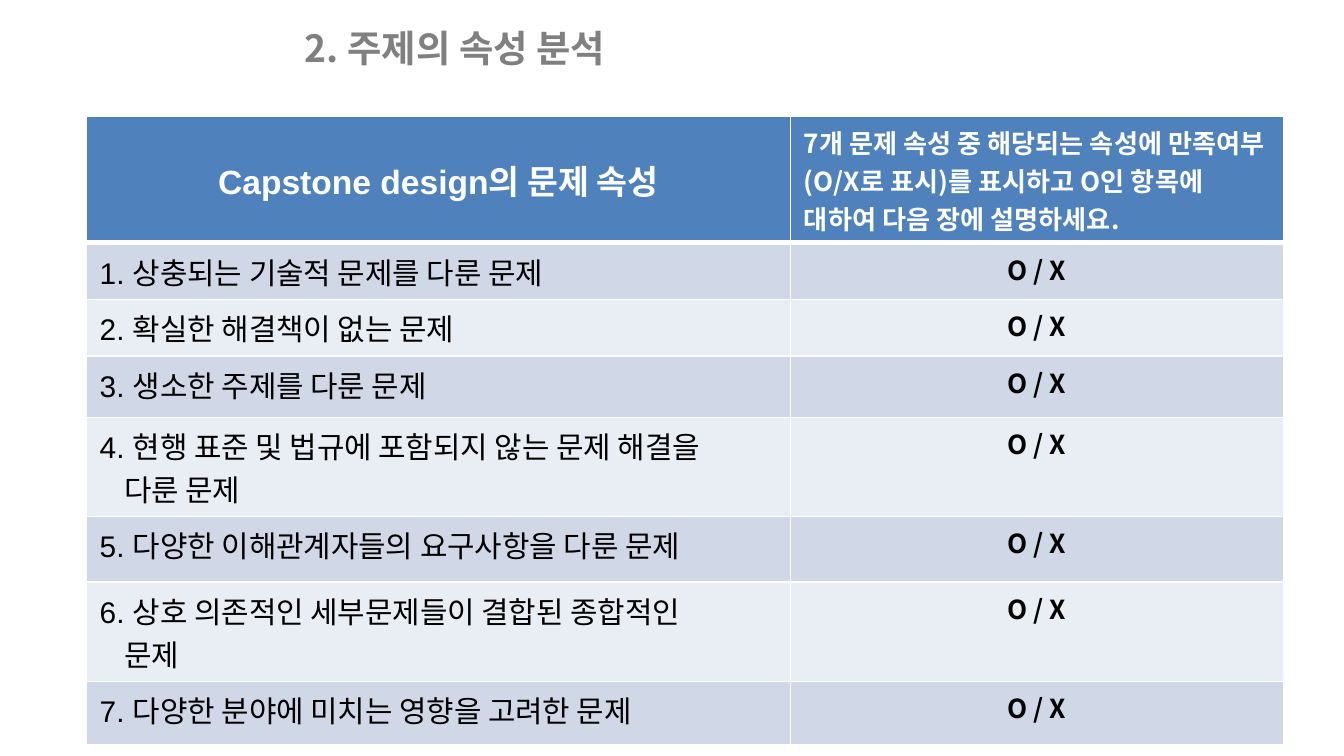
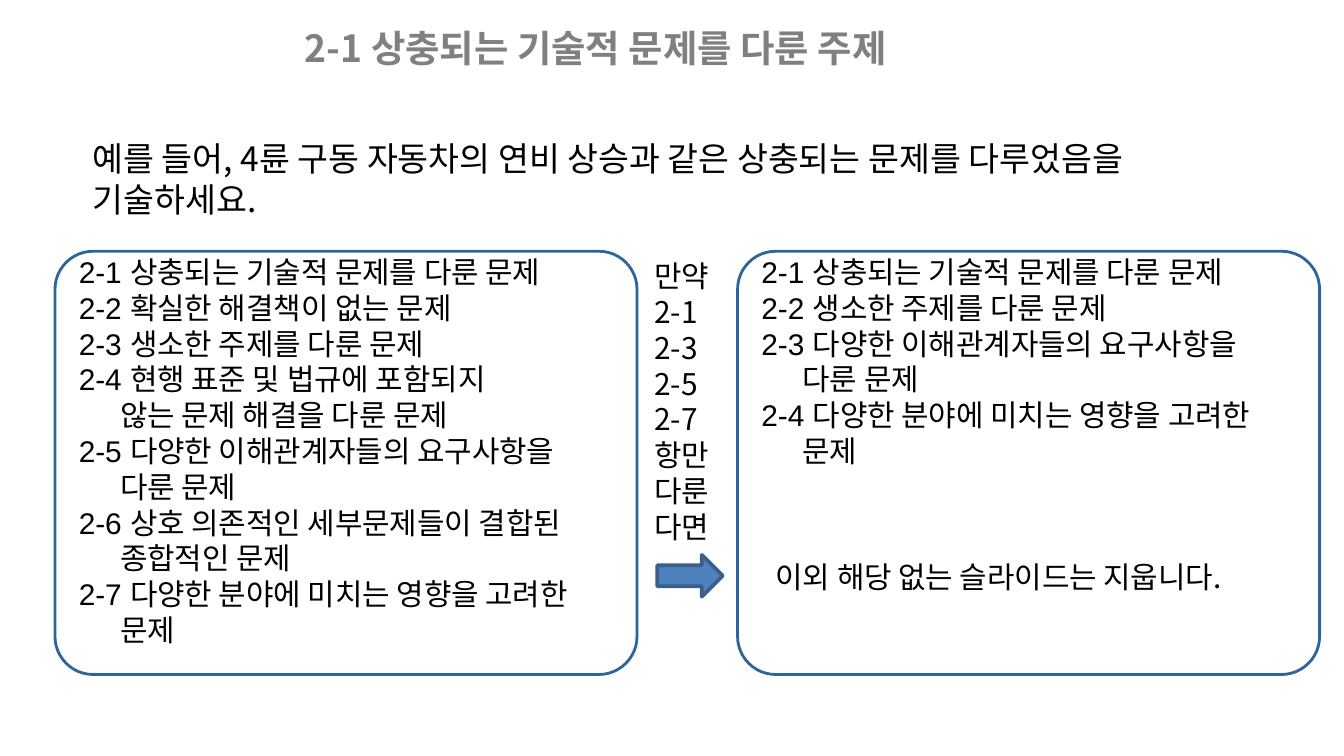
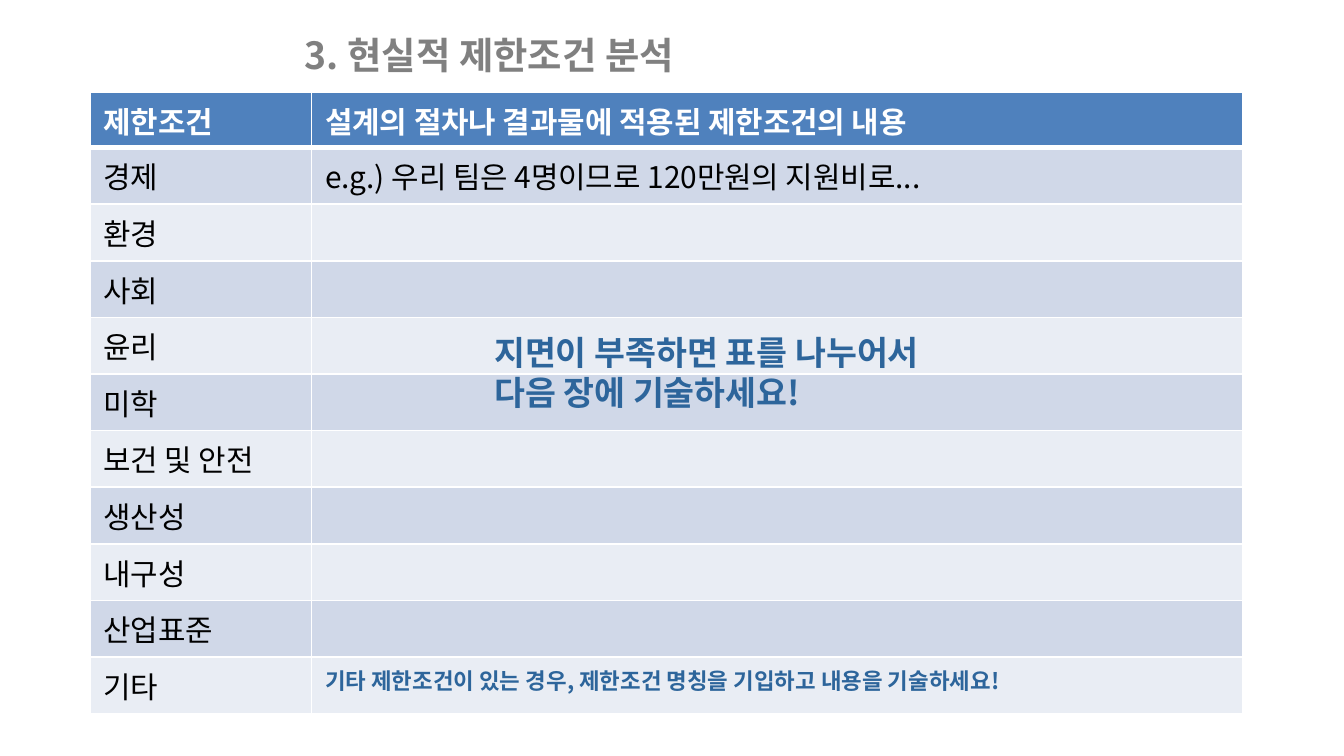
from lxml import etree
from pptx import Presentation
from pptx.dml.color import RGBColor
from pptx.enum.shapes import MSO_SHAPE
from pptx.enum.text import MSO_ANCHOR, PP_ALIGN
from pptx.oxml.ns import qn
from pptx.util import Cm, Pt

ROUNDED, RIGHT_ARROW = MSO_SHAPE.ROUNDED_RECTANGLE, MSO_SHAPE.RIGHT_ARROW
TOP, MIDDLE = MSO_ANCHOR.TOP, MSO_ANCHOR.MIDDLE
LEFT, CENTER = PP_ALIGN.LEFT, PP_ALIGN.CENTER

WHITE = RGBColor(0xFF, 0xFF, 0xFF)
BLACK = RGBColor(0x00, 0x00, 0x00)
GRAY = RGBColor(0x80, 0x80, 0x80)
BLUE = RGBColor(0x4F, 0x81, 0xBD)
ARROW_EDGE = RGBColor(0x3A, 0x5F, 0x8C)
DEEP_BLUE = RGBColor(0x2D, 0x65, 0x9B)
BANDS = (RGBColor(0xD0, 0xD8, 0xE8), RGBColor(0xE9, 0xED, 0xF4))

KOREAN, LATIN = "Noto Sans CJK KR", "Arial"


def font_format(size, name=KOREAN, color=BLACK, bold=False):
    return {"size": Pt(size), "name": name, "color": color, "bold": bold}


TITLE = font_format(20, color=GRAY, bold=True)
BODY = font_format(16)
LIST = font_format(16, LATIN)
INTRO = font_format(18)
NOTE = font_format(18, color=DEEP_BLUE, bold=True)
SMALL_NOTE = font_format(12, color=DEEP_BLUE, bold=True)
HEADER = font_format(16, color=WHITE, bold=True)
HEADER_LARGE = font_format(18, LATIN, WHITE, True)
HEADER_SMALL = font_format(14, color=WHITE, bold=True)
ANSWER = font_format(14, bold=True)

PROPERTIES = [
    "1. 상충되는 기술적 문제를 다룬 문제",
    "2. 확실한 해결책이 없는 문제",
    "3. 생소한 주제를 다룬 문제",
    "4. 현행 표준 및 법규에 포함되지 않는 문제 해결을\n다룬 문제",
    "5. 다양한 이해관계자들의 요구사항을 다룬 문제",
    "6. 상호 의존적인 세부문제들이 결합된 종합적인\n문제",
    "7. 다양한 분야에 미치는 영향을 고려한 문제",
]
PROPERTY_ROWS = (2.4, 1.07, 1.07, 1.16, 1.87, 1.24, 1.88, 1.19)

ALL_TOPICS = [
    "2-1 상충되는 기술적 문제를 다룬 문제",
    "2-2 확실한 해결책이 없는 문제",
    "2-3 생소한 주제를 다룬 문제",
    "2-4 현행 표준 및 법규에 포함되지\n않는 문제 해결을 다룬 문제",
    "2-5 다양한 이해관계자들의 요구사항을\n다룬 문제",
    "2-6 상호 의존적인 세부문제들이 결합된\n종합적인 문제",
    "2-7 다양한 분야에 미치는 영향을 고려한\n문제",
]
KEPT_TOPICS = [
    "2-1 상충되는 기술적 문제를 다룬 문제",
    "2-2 생소한 주제를 다룬 문제",
    "2-3 다양한 이해관계자들의 요구사항을\n다룬 문제",
    "2-4 다양한 분야에 미치는 영향을 고려한\n문제",
]
CONDITION = ["만약", "2-1", "2-3", "2-5", "2-7", "항만", "다룬", "다면"]

CONSTRAINTS = ["경제", "환경", "사회", "윤리", "미학", "보건 및 안전",
               "생산성", "내구성", "산업표준", "기타"]
CONSTRAINT_NOTES = {
    "경제": ("e.g.) 우리 팀은 4명이므로 120만원의 지원비로...", BODY),
    "기타": ("기타 제한조건이 있는 경우, 제한조건 명칭을 기입하고 내용을 기술하세요!",
           SMALL_NOTE),
}


def format_font(font, values):
    for attribute, value in values.items():
        if attribute == "color":
            font.color.rgb = value
        else:
            setattr(font, attribute, value)


def write_items(frame, items, values, indent=0, align=LEFT):
    """Write one paragraph per line; later lines of an item are indented."""
    lines = [(line, number > 0) for item in items
             for number, line in enumerate(item.split("\n"))]
    for index, (line, continued) in enumerate(lines):
        paragraph = frame.paragraphs[0] if index == 0 else frame.add_paragraph()
        paragraph.alignment = align
        if continued:
            paragraph._p.get_or_add_pPr().set("marL", str(Cm(indent)))
        if not line:
            format_font(paragraph.font, values)
            continue
        run = paragraph.add_run()
        run.text = line
        format_font(run.font, values)
        properties = run._r.get_or_add_rPr()
        properties.set("kern", "0")
        etree.SubElement(properties, qn("a:ea"), typeface=KOREAN)


def add_text(slide, box, items, values, indent=0):
    frame = slide.shapes.add_textbox(*map(Cm, box)).text_frame
    frame.word_wrap = True
    write_items(frame, items, values, indent)


def add_titled_slide(presentation, title, top=0.36):
    slide = presentation.slides.add_slide(presentation.slide_layouts[6])
    add_text(slide, (5.51, top, 17.6, 0.91), [title], TITLE)
    return slide


def add_outlined_shape(slide, kind, box, line_color, line_width, fill=None):
    shape = slide.shapes.add_shape(kind, *map(Cm, box))
    shape.shadow.inherit = False
    shape.line.color.rgb = line_color
    shape.line.width = Pt(line_width)
    if fill is None:
        shape.fill.background()
    else:
        shape.fill.solid()
        shape.fill.fore_color.rgb = fill
    return shape


def set_borders(cell, bottom_width):
    properties = cell._tc.get_or_add_tcPr()
    for side, width in (("L", 1), ("R", 1), ("T", 1), ("B", bottom_width)):
        line = etree.SubElement(properties, qn(f"a:ln{side}"), w=str(Pt(width)))
        fill = etree.SubElement(line, qn("a:solidFill"))
        etree.SubElement(fill, qn("a:srgbClr"), val=str(WHITE))


def add_banded_table(slide, left, top, widths, heights):
    box = (left, top, sum(widths), sum(heights))
    table = slide.shapes.add_table(len(heights), len(widths), *map(Cm, box)).table
    for column, width in zip(table.columns, widths):
        column.width = Cm(width)
    for index, (row, height) in enumerate(zip(table.rows, heights)):
        row.height = Cm(height)
        for cell in row.cells:
            set_borders(cell, 1 if index else 3)
            cell.fill.solid()
            cell.fill.fore_color.rgb = BANDS[(index - 1) % 2] if index else BLUE
    return table


def write_cell(cell, text, values, align=LEFT, anchor=TOP):
    cell.vertical_anchor = anchor
    write_items(cell.text_frame, [text], values, indent=0.46, align=align)


def add_property_slide(presentation):
    slide = add_titled_slide(presentation, "2. 주제의 속성 분석")
    table = add_banded_table(slide, 1.63, 2.19, (13.31, 9.32), PROPERTY_ROWS)
    write_cell(table.cell(0, 0), "Capstone design의 문제 속성", HEADER_LARGE,
               CENTER, MIDDLE)
    write_cell(table.cell(0, 1), "7개 문제 속성 중 해당되는 속성에 만족여부(O/X로 표시)를 "
               "표시하고 O인 항목에 대하여 다음 장에 설명하세요.", HEADER_SMALL)
    for row, text in enumerate(PROPERTIES, 1):
        write_cell(table.cell(row, 0), text, LIST)
        write_cell(table.cell(row, 1), "O / X", ANSWER, CENTER)


def add_topic_slide(presentation):
    slide = add_titled_slide(presentation, "2-1 상충되는 기술적 문제를 다룬 주제")
    add_text(slide, (1.5, 2.49, 22.43, 1.8),
             ["예를 들어, 4륜 구동 자동차의 연비 상승과 같은 상충되는 문제를 "
              "다루었음을 기술하세요."], INTRO)
    for left, topics, height in ((1.04, ALL_TOPICS, 7.77), (13.94, KEPT_TOPICS, 4.37)):
        add_text(slide, (left + 0.2, 4.67, 11.18, height), topics, LIST, indent=0.78)
        frame = add_outlined_shape(slide, ROUNDED, (left, 4.75, 11, 8), DEEP_BLUE, 1.5)
        frame.adjustments[0] = 0.09
    add_outlined_shape(slide, RIGHT_ARROW, (12.42, 10.49, 1.24, 0.79),
                       ARROW_EDGE, 2, BLUE)
    add_text(slide, (12.12, 4.75, 1.85, 5.89), CONDITION, BODY)
    add_text(slide, (14.41, 10.44, 9.98, 0.94),
             ["이외 해당 없는 슬라이드는 지웁니다."], BODY)


def add_constraint_slide(presentation):
    slide = add_titled_slide(presentation, "3. 현실적 제한조건 분석", top=0.48)
    heights = [1.05] + [1.07] * len(CONSTRAINTS)
    table = add_banded_table(slide, 1.7, 1.74, (4.19, 17.6), heights)
    write_cell(table.cell(0, 0), "제한조건", HEADER)
    write_cell(table.cell(0, 1), "설계의 절차나 결과물에 적용된 제한조건의 내용", HEADER)
    for row, constraint in enumerate(CONSTRAINTS, 1):
        write_cell(table.cell(row, 0), constraint, BODY)
        write_cell(table.cell(row, 1), *CONSTRAINT_NOTES.get(constraint, ("", BODY)))
    add_text(slide, (9.09, 6.15, 9.6, 1.8),
             ["지면이 부족하면 표를 나누어서 다음 장에 기술하세요!"], NOTE)


def main():
    presentation = Presentation()
    presentation.slide_width = Cm(25.4)
    presentation.slide_height = Cm(14.29)
    add_property_slide(presentation)
    add_topic_slide(presentation)
    add_constraint_slide(presentation)
    presentation.save("out.pptx")


if __name__ == "__main__":
    main()
